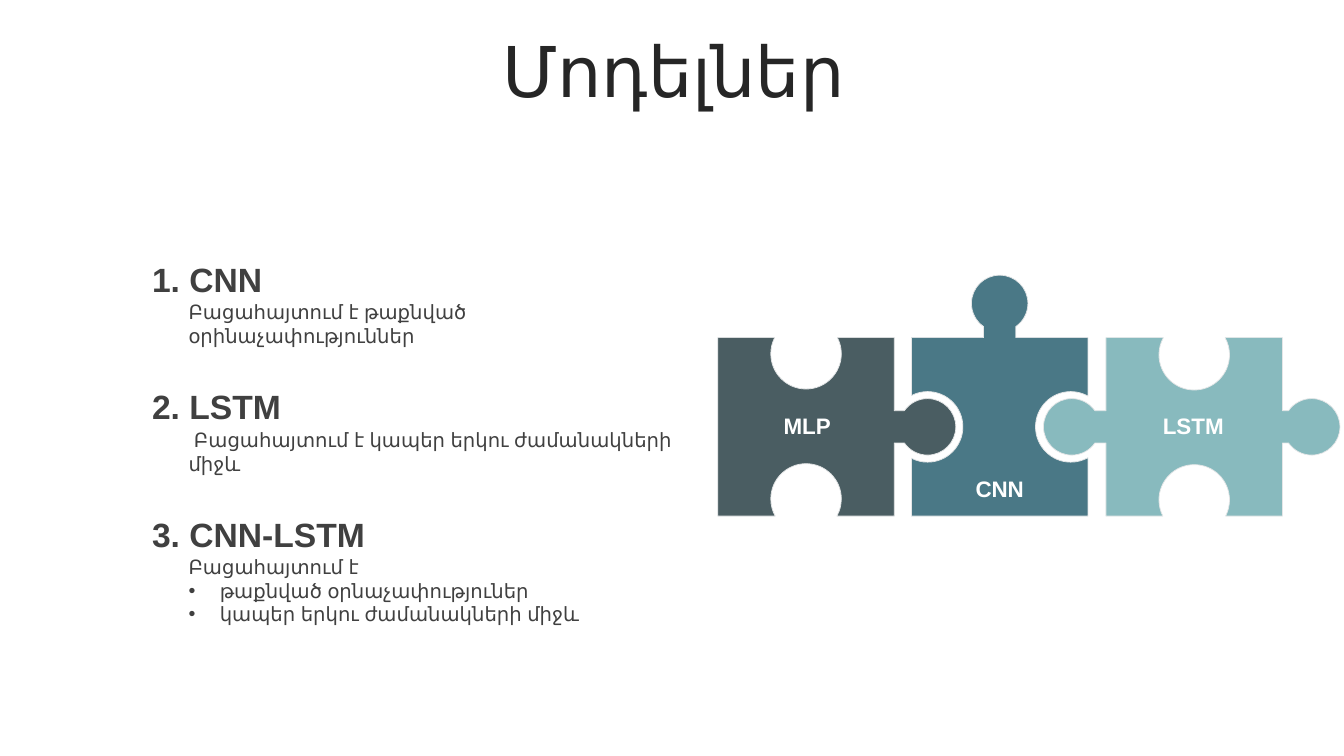
import math

from lxml import etree
from pptx import Presentation
from pptx.dml.color import RGBColor
from pptx.enum import text
from pptx.oxml.ns import qn
from pptx.util import Inches, Pt

TITLE = "Մոդելներ"
# heading, its top, description box, description, bullets
MODELS = [
    ("1. CNN", 2.52, (1.79, 2.93, 4.59, 0.34),
     "Բացահայտում է թաքնված օրինաչափություններ", []),
    ("2. LSTM", 3.78, (1.79, 4.2, 4.97, 0.34),
     " Բացահայտում է կապեր երկու ժամանակների միջև", []),
    ("3. CNN-LSTM", 5.05, (1.79, 5.46, 4.59, 0.81),
     "Բացահայտում է", ["թաքնված օրնաչափություներ", "կապեր երկու ժամանակների միջև"]),
]
COLORS = {"title": "262626", "text": "404040", "label": "FFFFFF", "outline": "E4E6E7",
          "MLP": "4A5D62", "CNN": "4A7886", "LSTM": "88BABE"}

# Each side of a puzzle piece: positive is how far a knob's centre lies outside,
# negative how far a socket's centre lies inside, None is a straight side.
# label, left edge, label position, (top, right, bottom, left); back to front
PIECES = [
    ("LSTM", 10.97, (11.01, 4.04), (-0.17, 0.29, -0.16, 0.34)),
    ("MLP", 7.12, (7.18, 4.04), (-0.16, 0.33, -0.17, None)),
    ("CNN", 9.04, (9.09, 4.66), (0.34, -0.17, None, -0.16)),
]
LABEL_ORDER = ["MLP", "CNN", "LSTM"]
PIECE_TOP, PIECE_WIDTH, PIECE_HEIGHT = 3.35, 1.75, 1.77
KNOB_RADIUS, SOCKET_RADIUS, NECK_HALF = 0.28, 0.35, 0.16
BULLET_INDENT = 0.31


def format_text(paragraph, size, color, bold=False):
    for name, value in {"name": "Arial", "size": Pt(size), "bold": bold}.items():
        setattr(paragraph.font, name, value)
    paragraph.font.color.rgb = RGBColor.from_string(COLORS[color])


def add_text(slide, box, lines, size, color, bold=False, align=None, side_inset=0.1):
    frame = slide.shapes.add_textbox(*map(Inches, box)).text_frame
    settings = {"word_wrap": True, "auto_size": text.MSO_AUTO_SIZE.SHAPE_TO_FIT_TEXT,
                "margin_left": Inches(side_inset), "margin_right": Inches(side_inset)}
    for name, value in settings.items():
        setattr(frame, name, value)
    for index, line in enumerate(lines):
        paragraph = frame.add_paragraph() if index else frame.paragraphs[0]
        paragraph.text = line
        paragraph.alignment = align
        if index:
            add_bullet(paragraph)
        format_text(paragraph, size, color, bold)


def add_bullet(paragraph):
    properties = paragraph._p.get_or_add_pPr()
    properties.set("marL", str(Inches(BULLET_INDENT)))
    properties.set("indent", str(-Inches(BULLET_INDENT)))
    etree.SubElement(properties, qn("a:buFont")).set("typeface", "Arial")
    etree.SubElement(properties, qn("a:buChar")).set("char", "•")


def side_segments(offset):
    """Lines (1 point) and Bézier curves (3 points) of a knob or socket,
    each point as (along the side, outward from the side)."""
    if offset is None:
        return []
    if offset > 0:
        radius, outward = KNOB_RADIUS, 1
        start = math.asin(NECK_HALF / radius)
    else:
        radius, outward = SOCKET_RADIUS, -1
        start = math.acos(-offset / radius)

    def arc_point(angle, pull=0.0):
        """Point on the circle, moved along its tangent by pull radii."""
        along = math.sin(angle) + pull * math.cos(angle)
        out = math.cos(angle) - pull * math.sin(angle)
        return -radius * along, offset - outward * radius * out

    angles = [start, math.pi / 2, math.pi, 3 * math.pi / 2, 2 * math.pi - start]
    segments = [[arc_point(start)]]
    for begin, end in zip(angles, angles[1:]):
        pull = 4 / 3 * math.tan((end - begin) / 4)
        segments.append([arc_point(begin, pull), arc_point(end, -pull), arc_point(end)])
    if offset > 0:
        segments = [[(-NECK_HALF, 0)], *segments, [(NECK_HALF, 0)]]
    return segments


def piece_segments(left, sides):
    """Walk the piece clockwise from its top left corner."""
    right, bottom = left + PIECE_WIDTH, PIECE_TOP + PIECE_HEIGHT
    corners = [(left, PIECE_TOP), (right, PIECE_TOP), (right, bottom), (left, bottom)]
    directions = [(1, 0), (0, 1), (-1, 0), (0, -1)]
    segments = []
    for index, (offset, (dx, dy)) in enumerate(zip(sides, directions)):
        (x, y), (next_x, next_y) = corners[index], corners[(index + 1) % 4]
        middle_x, middle_y = (x + next_x) / 2, (y + next_y) / 2
        segments.append([(x, y)])
        for segment in side_segments(offset):
            segments.append([(middle_x + dx * along + dy * out,
                              middle_y + dy * along - dx * out) for along, out in segment])
    return [[(Inches(x), Inches(y)) for x, y in segment] for segment in segments]


def bend_curves(shape, segments):
    """Join each three lines that stand for a curve into one Bézier curve."""
    lines = iter(list(shape._element.iter(qn("a:lnTo"))))
    for segment in segments:
        group = [next(lines) for _ in segment]
        if len(group) == 3:
            curve = etree.Element(qn("a:cubicBezTo"))
            group[0].addprevious(curve)
            for line in group:
                curve.append(line[0])
                line.getparent().remove(line)


def add_piece(slide, name, left, sides):
    first, *rest = piece_segments(left, sides)
    builder = slide.shapes.build_freeform(*first[0])
    builder.add_line_segments([point for segment in rest for point in segment], close=True)
    shape = builder.convert_to_shape()
    bend_curves(shape, rest)
    shape.shadow.inherit = False
    shape.fill.solid()
    shape.fill.fore_color.rgb = RGBColor.from_string(COLORS[name])
    shape.line.color.rgb = RGBColor.from_string(COLORS["outline"])
    shape.line.width = Pt(0.5)


def add_title(slide):
    title = slide.shapes.title
    box = {"left": 0.35, "top": 0.37, "width": 12.66, "height": 0.79}
    for name, value in box.items():
        setattr(title, name, Inches(value))
    frame = title.text_frame
    frame.text = TITLE
    frame.auto_size = text.MSO_AUTO_SIZE.NONE
    frame.vertical_anchor = text.MSO_ANCHOR.MIDDLE
    paragraph = frame.paragraphs[0]
    paragraph.alignment = text.PP_ALIGN.CENTER
    paragraph.line_spacing = 0.8
    format_text(paragraph, 50, "title")


def main():
    presentation = Presentation()
    presentation.slide_width, presentation.slide_height = Inches(13.33), Inches(7.5)
    slide = presentation.slides.add_slide(presentation.slide_layouts[5])
    add_title(slide)

    for heading, top, box, description, bullets in MODELS:
        add_text(slide, box, [description, *bullets], 14, "text", side_inset=0.08)
        add_text(slide, (1.41, top, 4.97, 0.5), [heading], 24, "text", bold=True)

    for name, left, _, sides in PIECES:
        add_piece(slide, name, left, sides)
    for name, _, position, _ in sorted(PIECES, key=lambda piece: LABEL_ORDER.index(piece[0])):
        add_text(slide, (*position, 1.65, 0.37), [name], 16, "label",
                 bold=True, align=text.PP_ALIGN.CENTER)

    presentation.save("out.pptx")


if __name__ == "__main__":
    main()
